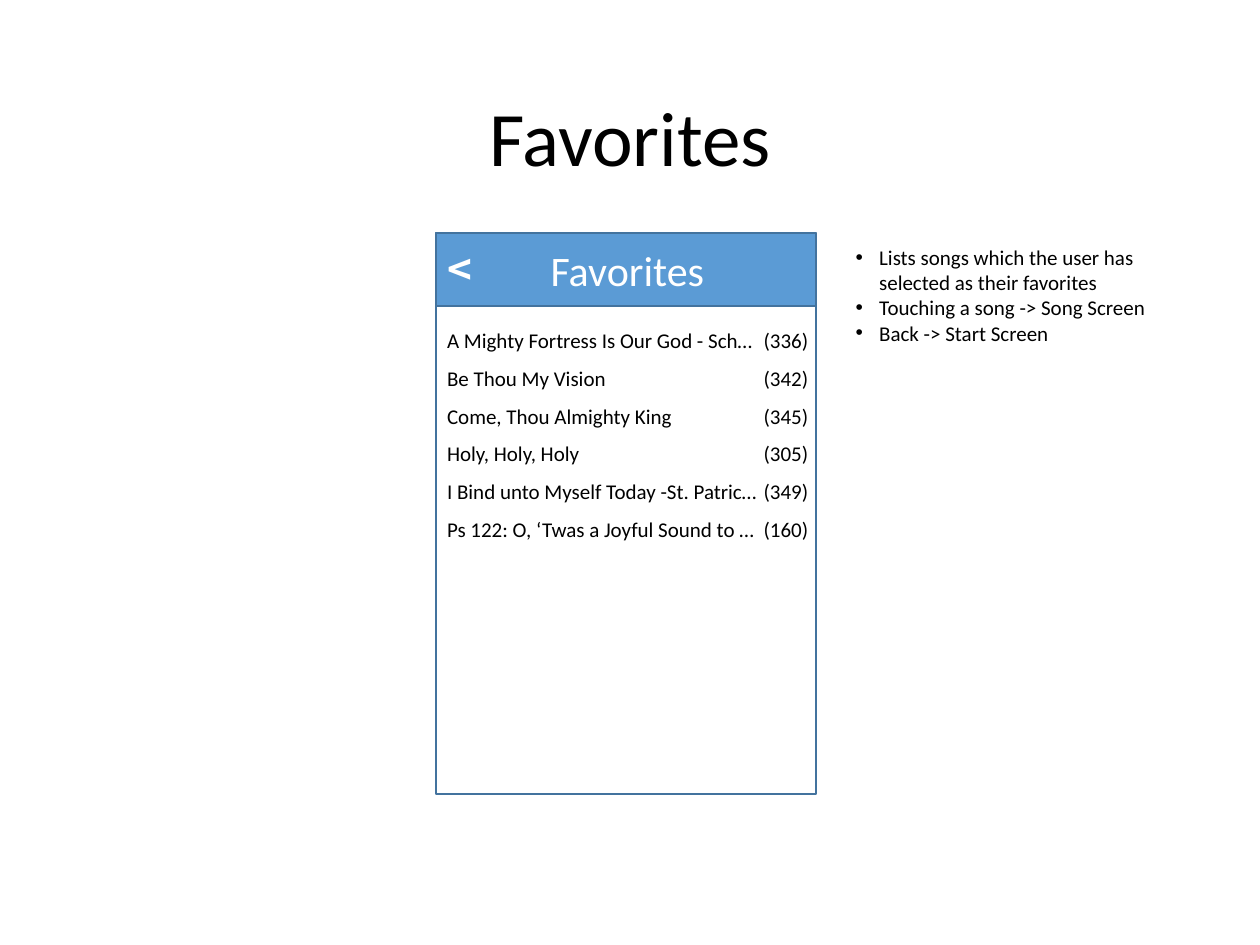
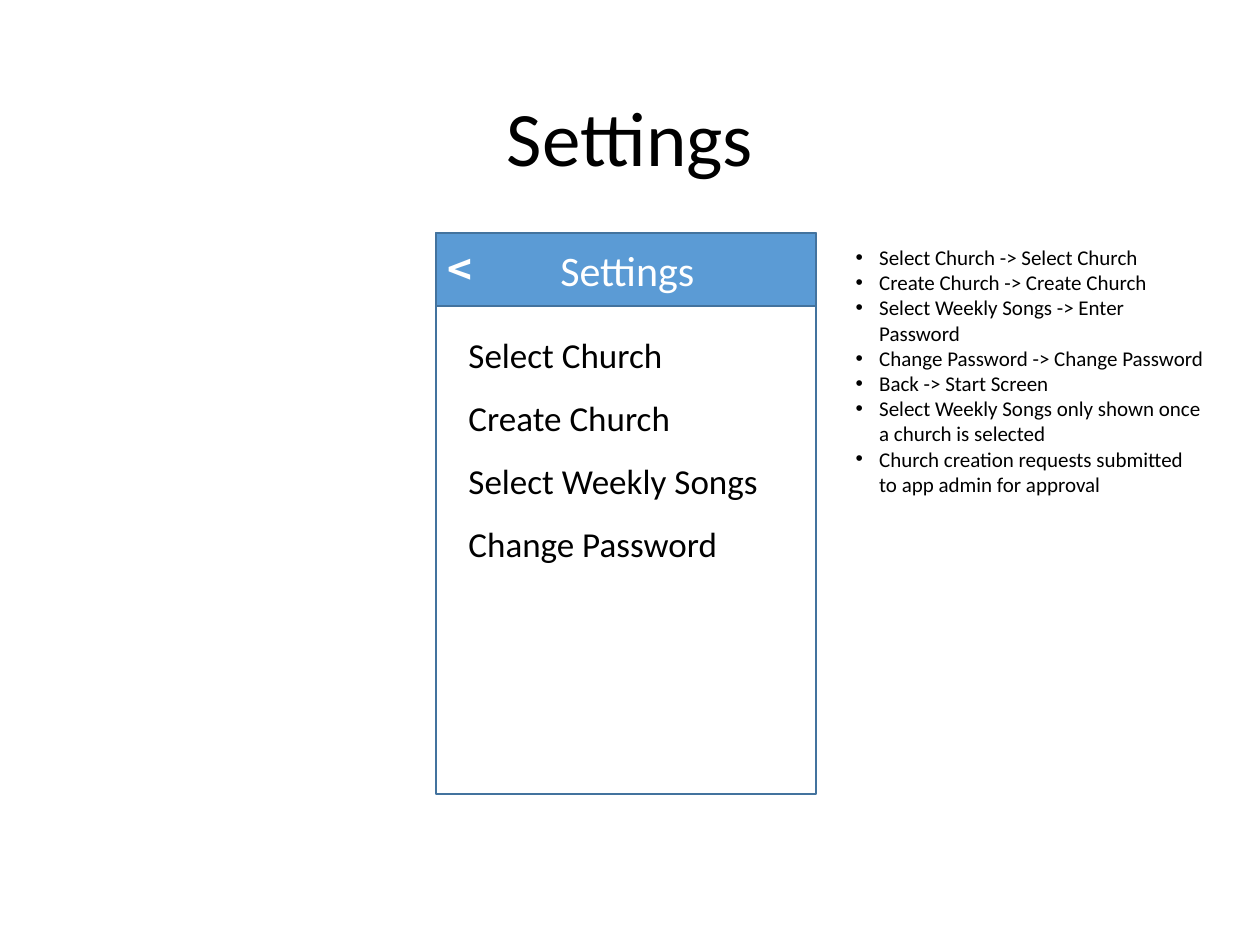
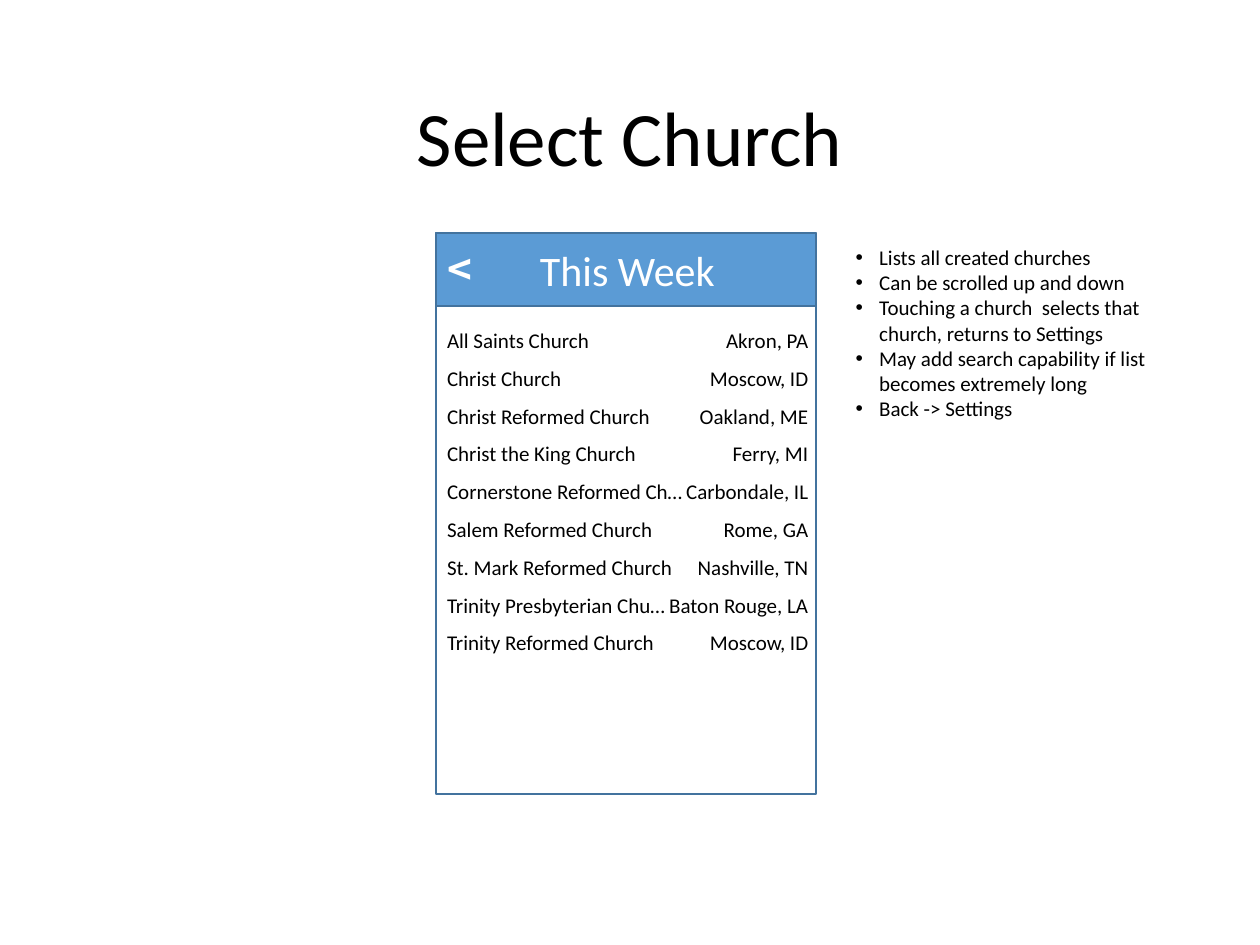
import pptx
import pptx.util
import pptx.dml.color
import pptx.enum.shapes
import pptx.enum.text

Pt = pptx.util.Pt
ALIGN = pptx.enum.text.PP_ALIGN
ANCHOR = pptx.enum.text.MSO_ANCHOR

HUES = {"ink": "000000", "paper": "FFFFFF", "bar": "5B9BD5", "edge": "43739E"}
FONT, SIGN = "Calibri", "Noto Sans CJK JP"

# Boxes: left, top, width, height
TITLE = (49.7, 28.8, 620.6, 104.4)
PHONE = (249.1, 133.2, 217.4, 320.4)
NOTES = (481.7, 136.1, 214.6, 160)
BAR = 41.8


def hue(name):
    return pptx.dml.color.RGBColor.from_string(HUES[name])


def place(shape, box):
    shape.left, shape.top, shape.width, shape.height = map(Pt, box)


def write(frame, lines, size, color="ink", align=ALIGN.LEFT, gap=1.0,
          font=FONT, bold=False, anchor=ANCHOR.TOP):
    frame.word_wrap = True
    frame.auto_size = pptx.enum.text.MSO_AUTO_SIZE.NONE
    frame.vertical_anchor = anchor
    for i, line in enumerate(lines):
        para = frame.add_paragraph() if i else frame.paragraphs[0]
        para.alignment = align
        para.line_spacing = gap
        para.space_before = Pt(0)
        run = para.add_run()
        run.text = line
        run.font.name = font
        run.font.size = Pt(size)
        run.font.bold = bold
        run.font.color.rgb = hue(color)


def label(slide, box, lines, size, **style):
    text = slide.shapes.add_textbox(*map(Pt, box))
    write(text.text_frame, lines, size, **style)


def panel(slide, box, fill=None):
    rect = slide.shapes.add_shape(
        pptx.enum.shapes.MSO_SHAPE.RECTANGLE, *map(Pt, box))
    rect.shadow.inherit = False
    rect.line.color.rgb = hue("edge")
    rect.line.width = Pt(1)
    if fill:
        rect.fill.solid()
        rect.fill.fore_color.rgb = hue(fill)
    else:
        rect.fill.background()


def phone(slide, box, head):
    """Screen frame with a header bar and a back sign."""
    x, y, wide, high = box
    panel(slide, box)
    panel(slide, (x, y, wide, BAR), "bar")
    label(slide, (x + 5, y + 2.9, wide - 8.6, 36), [head], 24,
          color="paper", align=ALIGN.CENTER)
    label(slide, (x - 0.7, y + 2.2, 22.3, 36), ["<"], 24,
          color="paper", font=SIGN, bold=True)


def table(slide, box, rows, side):
    """Names on the left, details in a right column of width side."""
    x, y, wide, high = box
    names, facts = zip(*rows)
    top, tall = y + BAR + 1.4, 7.2 + 21.8 * len(rows)
    label(slide, (x - 0.7, top, wide + 0.8, tall), names, 12, gap=1.5)
    label(slide, (x + wide + 2.5 - side, top, side, tall), facts, 12,
          gap=1.5, align=ALIGN.RIGHT)


def menu(slide, box, items):
    """Large menu entries below the bar."""
    x, y, wide, high = box
    label(slide, (x + 11.5, y + BAR, wide - 24.4, 149), items, 20, gap=1.5)


def notes(shape, box, lines):
    """Bulleted remarks beside the phone."""
    place(shape, box)
    write(shape.text_frame, lines, 12)
    for para in shape.text_frame.paragraphs:
        props = para._p.get_or_add_pPr()
        props.set("marL", str(Pt(13.5)))
        props.set("indent", str(Pt(-13.5)))


def page(deck, title, head, remarks):
    """Title, phone and remarks shared by all slides."""
    slide = deck.slides.add_slide(deck.slide_layouts[1])
    place(slide.shapes.title, TITLE)
    write(slide.shapes.title.text_frame, [title], 44, align=ALIGN.CENTER,
          gap=0.9, anchor=ANCHOR.MIDDLE)
    phone(slide, PHONE, head)
    notes(slide.placeholders[1], NOTES, remarks)
    return slide


def main():
    deck = pptx.Presentation()
    deck.slide_width, deck.slide_height = Pt(720), Pt(540)

    # Favorites
    slide = page(deck, "Favorites", "Favorites", [
        "Lists songs which the user has selected as their favorites",
        "Touching a song -> Song Screen",
        "Back -> Start Screen",
    ])
    table(slide, PHONE, [
        ("A Mighty Fortress Is Our God - Sch…", "(336)"),
        ("Be Thou My Vision", "(342)"),
        ("Come, Thou Almighty King", "(345)"),
        ("Holy, Holy, Holy", "(305)"),
        ("I Bind unto Myself Today -St. Patric…", "(349)"),
        ("Ps 122: O, ‘Twas a Joyful Sound to …", "(160)"),
    ], 44)

    # Settings
    slide = page(deck, "Settings", "Settings", [
        "Select Church -> Select Church",
        "Create Church -> Create Church",
        "Select Weekly Songs -> Enter Password",
        "Change Password -> Change Password",
        "Back -> Start Screen",
        "Select Weekly Songs only shown once a church is selected",
        "Church creation requests submitted to app admin for approval",
    ])
    menu(slide, PHONE, ["Select Church", "Create Church",
                        "Select Weekly Songs", "Change Password"])

    # Select Church
    slide = page(deck, "Select Church", "This Week", [
        "Lists all created churches",
        "Can be scrolled up and down",
        "Touching a church  selects that church, returns to Settings",
        "May add search capability if list becomes extremely long",
        "Back -> Settings",
    ])
    table(slide, PHONE, [
        ("All Saints Church", "Akron, PA"),
        ("Christ Church", "Moscow, ID"),
        ("Christ Reformed Church", "Oakland, ME"),
        ("Christ the King Church", "Ferry, MI"),
        ("Cornerstone Reformed Ch…", "Carbondale, IL"),
        ("Salem Reformed Church", "Rome, GA"),
        ("St. Mark Reformed Church", "Nashville, TN"),
        ("Trinity Presbyterian Chu…", "Baton Rouge, LA"),
        ("Trinity Reformed Church", "Moscow, ID"),
    ], 106)

    deck.save("out.pptx")


if __name__ == "__main__":
    main()
